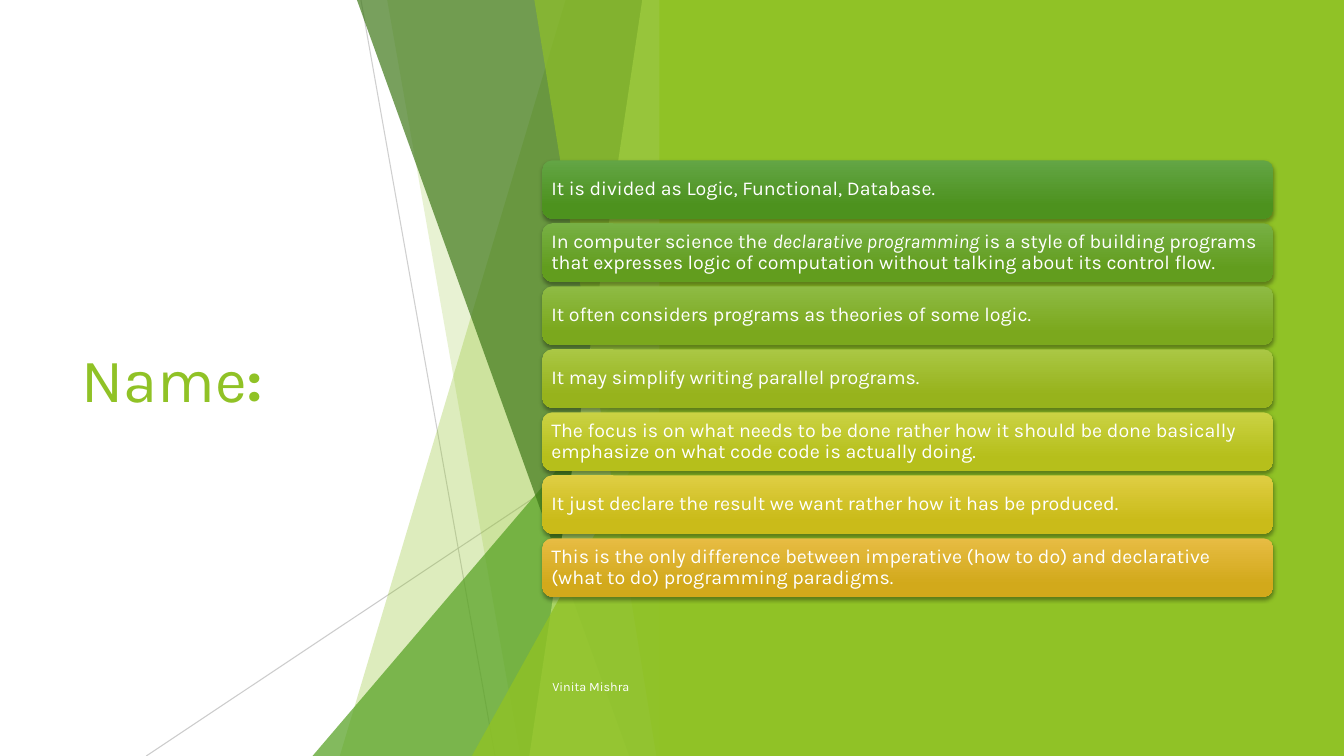
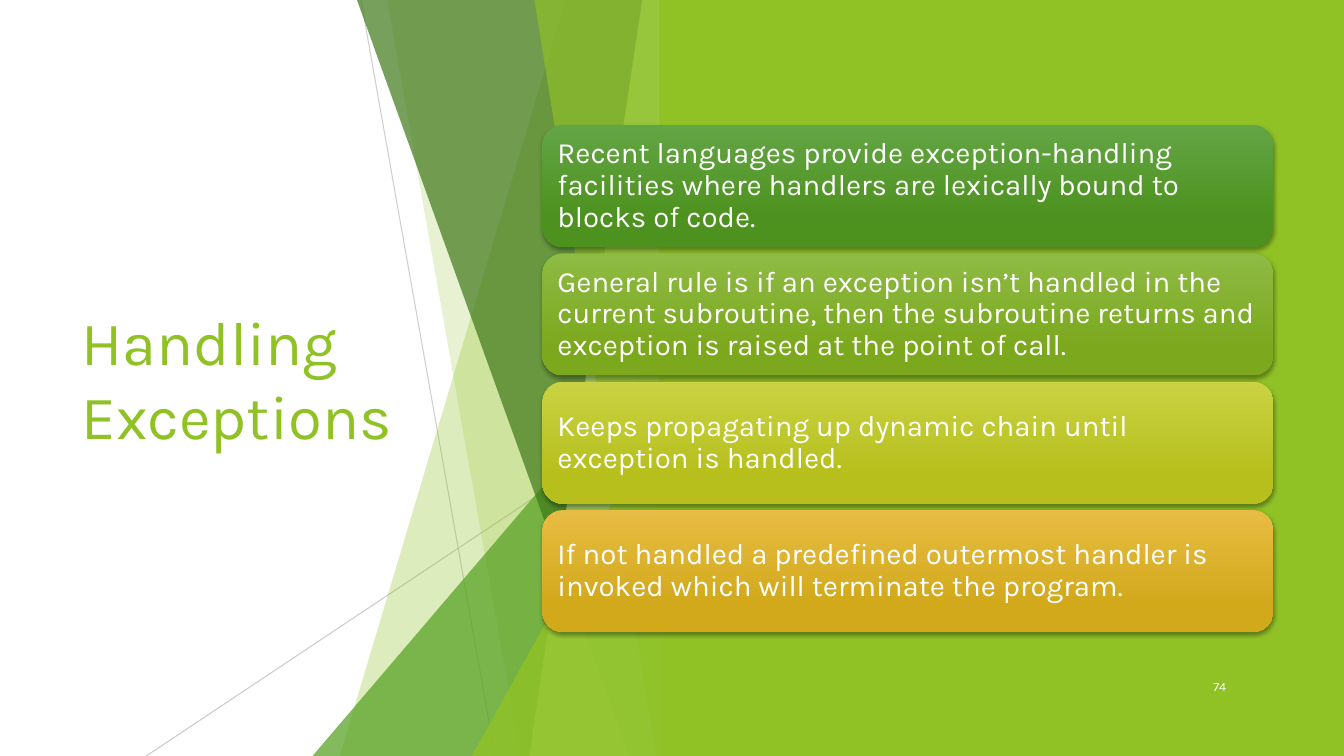
from lxml import etree
from pptx import Presentation
from pptx.dml.color import RGBColor
from pptx.enum import shapes, text
from pptx.oxml import ns
from pptx.util import Inches, Pt

WIDE, HIGH = 13.33, 7.5
EDGE = 6.66
LEFT = 5.38
FONT = "Karla"
GREEN, WHITE, GREY = "90C226", "FFFFFF", "BFBFBF"
RAYS = [(3.58, 0, 4.91, HIGH, 75), (EDGE, 4.03, 1.45, HIGH, 80)]
BANDS = [
    ("slant", 5.61, 3.37, GREEN, 30),
    ("slant", 3.84, 5.16, GREEN, 20),
    ("wedge", 3.1, 3.33, "54A021", 72),
    ("slant", 3.54, 6.24, "3F7819", 70),
    ("slant", 6.37, 5.25, "C0E474", 70),
    ("slant", 5.3, 6.51, GREEN, 65),
    ("wedge", 4.68, 3.93, GREEN, 80),
]
RAMP = [
    ("63A545", "4D921E"),
    ("77B044", "629D1E"),
    ("8EBB44", "7BA81D"),
    ("AAC744", "97B31C"),
    ("CAD243", "B6BF1B"),
    ("DFCE43", "CABB19"),
    ("E7BC43", "D2A91B"),
]
STYLE = [
    "It is divided as Logic, Functional, Database.",
    "In computer science the |declarative programming| is a style of building programs "
    "that expresses logic of computation without talking about its control flow.",
    "It often considers programs as theories of some logic.",
    "It may simplify writing parallel programs.",
    "The focus is on what needs to be done rather how it should be done basically "
    "emphasize on what code code is actually doing.",
    "It just declare the result we want rather how it has be produced.",
    "This is the only difference between imperative (how to do) and declarative "
    "(what to do) programming paradigms.",
]
ERRORS = [
    "Recent languages provide exception-handling facilities where handlers are "
    "lexically bound to blocks of code.",
    "General rule is if an exception isn’t handled in the current subroutine, then "
    "the subroutine returns and exception is raised at the point of call.",
    "Keeps propagating up dynamic chain until exception is handled.",
    "If not handled a predefined outermost handler is invoked which will terminate "
    "the program.",
]


def rgb(code):
    return RGBColor.from_string(code)


def box(*sizes):
    return [Inches(size) for size in sizes]


def add(node, tag, **attrs):
    return etree.SubElement(node, ns.qn(tag), **attrs)


def fade(shape, part):
    for node in shape.element.spPr.iter(ns.qn("a:srgbClr")):
        add(node, "a:alpha", val=str(part * 1000))


def paint(shape, color):
    shape.shadow.inherit = False
    shape.line.fill.background()
    shape.fill.solid()
    shape.fill.fore_color.rgb = rgb(color)


def write(frame, words, size, color, mark="italic"):
    frame.word_wrap = True
    frame.vertical_anchor = text.MSO_ANCHOR.MIDDLE
    para = frame.paragraphs[0]
    para.alignment = text.PP_ALIGN.LEFT
    for order, part in enumerate(words.split("|")):
        if part:
            run = para.add_run()
            run.text = part
            run.font.name = FONT
            run.font.size = Pt(size)
            run.font.color.rgb = rgb(color)
            if order % 2:
                setattr(run.font, mark, True)
    return para


def label(slide, place, words, size, color, mark="italic"):
    frame = slide.shapes.add_textbox(*box(*place)).text_frame
    return write(frame, words, size, color, mark)


def ray(slide, x1, y1, x2, y2, part):
    line = slide.shapes.add_connector(
        shapes.MSO_CONNECTOR.STRAIGHT, *box(x1, y1, x2, y2))
    line.line.width = Pt(0.75)
    line.line.color.rgb = rgb(GREY)
    fade(line, part)
    add(line.element.spPr, "a:effectLst")


def slant(slide, top, base):
    form = slide.shapes.build_freeform(*box(top, 0))
    form.add_line_segments(
        [box(EDGE, 0), box(EDGE, HIGH), box(base, HIGH)], close=True)
    return form.convert_to_shape()


def wedge(slide, left, top):
    shape = slide.shapes.add_shape(
        shapes.MSO_SHAPE.ISOSCELES_TRIANGLE,
        *box(left, top, EDGE - left, HIGH - top))
    shape.adjustments[0] = 1
    return shape


def base(deck, title):
    slide = deck.slides.add_slide(deck.slide_layouts[6])
    label(slide, (0.71, 1.51, 3.88, 4.48), title, 44, GREEN, "bold")
    for line in RAYS:
        ray(slide, *line)
    makers = {"slant": slant, "wedge": wedge}
    for kind, first, second, color, part in BANDS:
        shape = makers[kind](slide, first, second)
        paint(shape, color)
        fade(shape, part)
    panel = slide.shapes.add_shape(
        shapes.MSO_SHAPE.RECTANGLE, *box(6.54, 0, WIDE - 6.54, HIGH))
    paint(panel, GREEN)
    return slide


def card(slide, top, high, words, size, pad, colors):
    shape = slide.shapes.add_shape(
        shapes.MSO_SHAPE.ROUNDED_RECTANGLE, *box(LEFT, top, 7.25, high))
    shape.line.fill.background()
    shape.fill.gradient()
    shape.fill.gradient_angle = 270
    for stop, color, spot in zip(shape.fill.gradient_stops, colors, (0, 0.78)):
        stop.color.rgb = rgb(color)
        stop.position = spot
    shape.shadow.inherit = False
    glow = add(shape.element.spPr.find(ns.qn("a:effectLst")), "a:outerShdw",
               blurRad=str(Pt(3)), dist=str(Pt(2)), dir="5400000", rotWithShape="0")
    shade = add(glow, "a:srgbClr", val="000000")
    add(shade, "a:alpha", val="35000")
    frame = shape.text_frame
    frame.margin_left = frame.margin_right = Inches(pad)
    frame.margin_top = frame.margin_bottom = Inches(pad)
    write(frame, words, size, WHITE).line_spacing = 0.9


def stack(slide, lines, first, last, high, size, pad, ramp):
    pitch = (last - first) / (len(lines) - 1)
    for row, (words, colors) in enumerate(zip(lines, ramp)):
        card(slide, first + row * pitch, high, words, size, pad, colors)


def main():
    deck = Presentation()
    deck.slide_width, deck.slide_height = box(WIDE, HIGH)

    slide = base(deck, "Name|:")
    label(slide, (LEFT, 6.61, 6, 0.4), "Vinita Mishra", 9, WHITE)
    stack(slide, STYLE, 1.59, 5.34, 0.58, 14, 0.06, RAMP)

    slide = base(deck, "Handling Exceptions")
    para = label(slide, (11.51, 6.61, 0.75, 0.4), "74", 9, WHITE)
    para.alignment = text.PP_ALIGN.RIGHT
    stack(slide, ERRORS, 1.24, 5.06, 1.21, 21, 0.09, RAMP[::2])

    deck.save("out.pptx")


if __name__ == "__main__":
    main()
